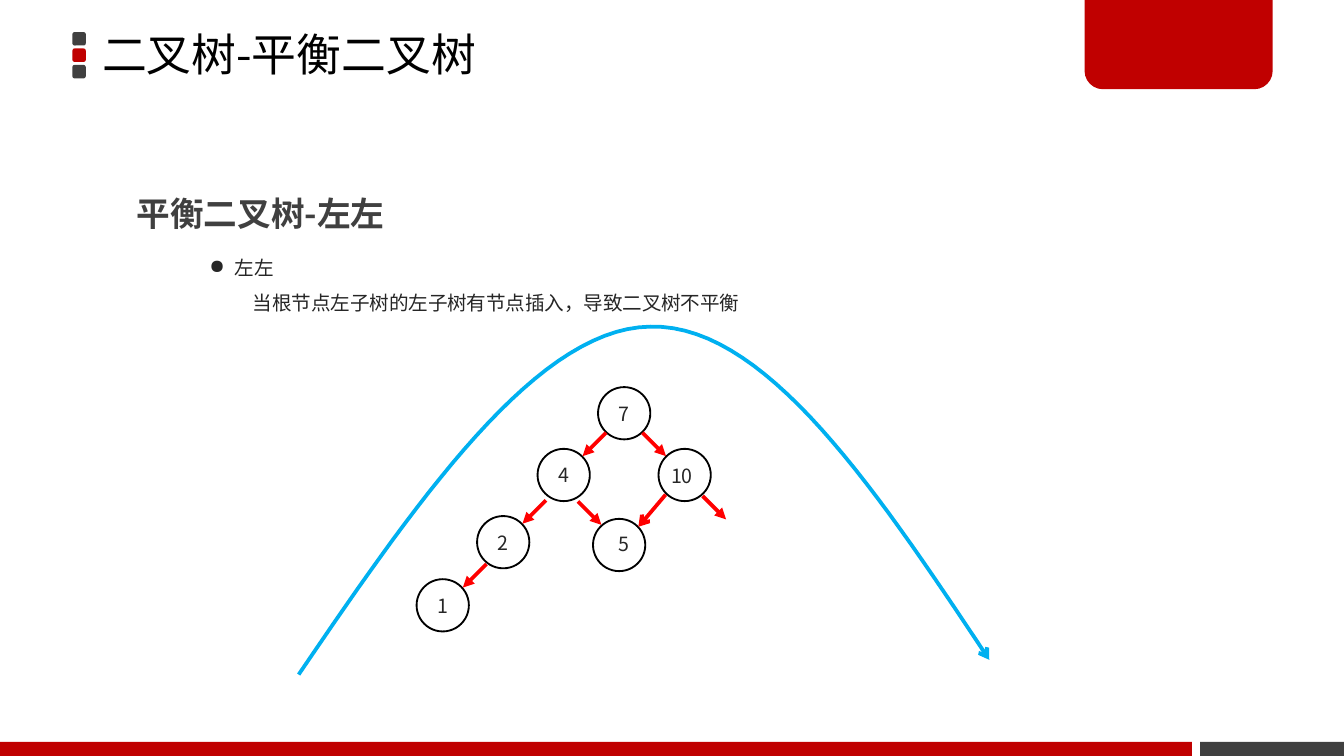
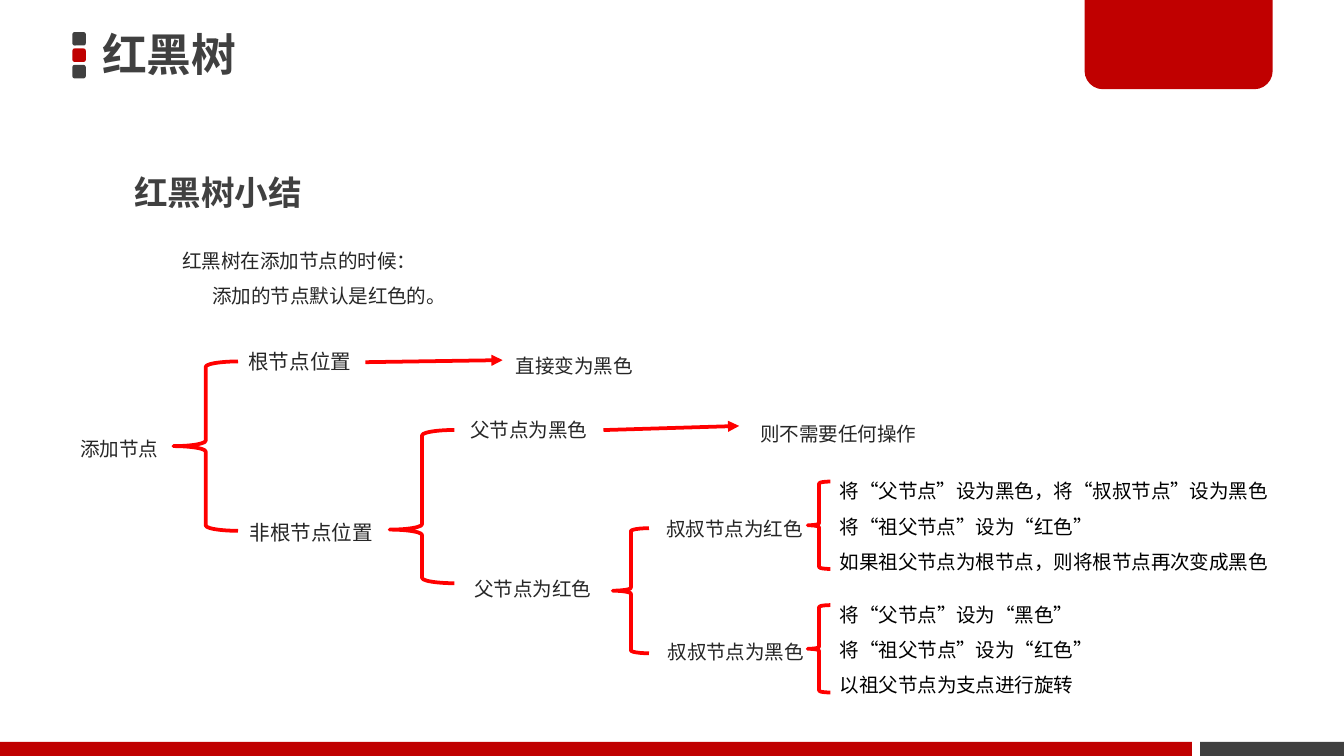
from lxml import etree
from pptx import Presentation
from pptx.dml.color import RGBColor
from pptx.enum import shapes, text
from pptx.oxml import ns
from pptx.util import Pt

RED = RGBColor(0xC0, 0x00, 0x00)
GREY = RGBColor(0x40, 0x40, 0x40)
INK = RGBColor(0x26, 0x26, 0x26)
BLACK = RGBColor(0x00, 0x00, 0x00)
WHITE = RGBColor(0xFF, 0xFF, 0xFF)
MARK = RGBColor(0xFF, 0x00, 0x00)
BLUE = RGBColor(0x00, 0xB0, 0xF0)
SANS = "Noto Sans CJK SC"
HEAD = "Noto Sans CJK JP"
KIND = shapes.MSO_SHAPE
ALIGN = text.PP_ALIGN
MIDDLE = text.MSO_ANCHOR.MIDDLE
DOT = 28
STEP = 12.6


def sub(parent, tag, **attrs):
    return etree.SubElement(parent, ns.qn(tag), attrs)


def write(frame, lines, size=10.5, color=INK, font=SANS, bold=False,
          align=ALIGN.LEFT, space=None, pads=(), bullet=None):
    """Fill a frame; pads are left indents by line, bullet marks the first."""
    for i, line in enumerate(lines):
        para = frame.paragraphs[0] if i == 0 else frame.add_paragraph()
        para.alignment = align
        if space:
            para.line_spacing = space
        props = para._p.get_or_add_pPr()
        if i < len(pads):
            props.set("marL", str(Pt(pads[i])))
        if bullet and i == 0:
            props.set("indent", str(-Pt(pads[0])))
            sub(props, "a:buChar", char=bullet)
        run = para.add_run()
        run.text = line
        run.font.size = Pt(size)
        run.font.bold = bold
        run.font.color.rgb = color
        run.font.name = font
        sub(run._r.get_or_add_rPr(), "a:ea", typeface=font)


def label(slide, box, lines, wrap=False, grow=True, anchor=None, inset=None,
          **style):
    item = slide.shapes.add_textbox(*map(Pt, box))
    frame = item.text_frame
    frame.word_wrap = wrap
    if grow:
        frame.auto_size = text.MSO_AUTO_SIZE.SHAPE_TO_FIT_TEXT
    if anchor is not None:
        frame.vertical_anchor = anchor
    if inset:
        frame.margin_left = frame.margin_right = Pt(inset[0])
        frame.margin_top = frame.margin_bottom = Pt(inset[1])
    write(frame, lines, **style)
    return item


def paint(item, fill=None, line=None, width=2):
    item.shadow.inherit = False
    if fill is None:
        item.fill.background()
    else:
        item.fill.solid()
        item.fill.fore_color.rgb = fill
    if line is None:
        item.line.fill.background()
    else:
        item.line.color.rgb = line
        item.line.width = Pt(width)


def shape(slide, kind, box, **look):
    item = slide.shapes.add_shape(kind, *map(Pt, box))
    paint(item, **look)
    return item


def tip(item, kind):
    sub(item.line._get_or_add_ln(), "a:tailEnd", type=kind)


def arrow(slide, start, end, kind="triangle", tail=None, head=None):
    """Red arrow; joins the right side of tail and the left side of head."""
    item = slide.shapes.add_connector(
        shapes.MSO_CONNECTOR.STRAIGHT, *map(Pt, start + end))
    if tail is not None:
        item.begin_connect(tail, 3)
    if head is not None:
        item.end_connect(head, 1)
    item.line.color.rgb = MARK
    item.line.width = Pt(2)
    tip(item, kind)
    sub(item._element.spPr, "a:effectLst")


def node(slide, x, y, value=None):
    item = shape(slide, KIND.OVAL, (x, y, DOT, DOT), line=BLACK, width=1)
    if value:
        item.text_frame.vertical_anchor = MIDDLE
        write(item.text_frame, [value], align=ALIGN.CENTER)


def brace(slide, box, mid=0.5):
    item = shape(slide, KIND.LEFT_BRACE, box, line=MARK)
    item.adjustments[1] = mid


def curve(slide, start, bends):
    """Open blue curve with an arrowhead, through cubic bends."""
    points, last = [], start
    for one, two, end in bends:
        for i in range(1, 31):
            t = i / 30
            s = 1 - t
            points.append(tuple(
                Pt(s**3 * a + 3 * s * s * t * b + 3 * s * t * t * c + t**3 * d)
                for a, b, c, d in zip(last, one, two, end)))
        last = end
    form = slide.shapes.build_freeform(*map(Pt, start))
    form.add_line_segments(points, close=False)
    item = form.convert_to_shape()
    paint(item, line=BLUE)
    tip(item, "arrow")


def page(deck):
    """Add a slide with the shared marks, tab and footer bands."""
    slide = deck.slides.add_slide(deck.slide_layouts[6])
    slide.background.fill.solid()
    slide.background.fill.fore_color.rgb = WHITE
    for i, color in enumerate((GREY, RED, GREY)):
        shape(slide, KIND.ROUNDED_RECTANGLE,
              (38.8, 17.2 + 8.8 * i, 7.2, 7.2), fill=color)
    shape(slide, KIND.RECTANGLE, (643, 397.5, 77, 7.5), fill=GREY)
    tab = shape(slide, KIND.ROUND_2_SAME_RECTANGLE, (581, -1.4, 100.8, 49.2),
                fill=RED)
    tab.adjustments[0] = 0.2
    tab.rotation = 180
    shape(slide, KIND.RECTANGLE, (0, 397.5, 638.6, 7.5), fill=RED)
    return slide


def title(slide, box, words, **style):
    label(slide, box, [words], wrap=True, grow=False, anchor=MIDDLE,
          inset=(5, 3), size=24, font=HEAD, **style)


def topic(slide, box, words):
    label(slide, box, [words], wrap=True, size=18, color=GREY, bold=True,
          space=1.5)


def rotate(deck):
    slide = page(deck)
    title(slide, (49.7, -1.4, 424, 64), "二叉树-平衡二叉树", color=BLACK,
          space=0.9)
    topic(slide, (66.2, 89.3, 246, 36), "平衡二叉树-左左")
    label(slide, (105.1, 127.4, 580, 45.4),
          ["左左", "当根节点左子树的左子树有节点插入，导致二叉树不平衡"],
          wrap=True, space=1.5, pads=(13.5, 23.3), bullet="●")
    curve(slide, (160, 361.4), [
        ((223.2, 268.6), (287.3, 175.7), (348.5, 175)),
        ((410.4, 173.5), (470.2, 263.5), (530, 353.5))])
    for x, y, value in ((320.4, 207.4, "7"), (288, 240.5, "4"),
                        (352.8, 240.5, None), (255.6, 276.5, "2"),
                        (223.2, 310.3, "1"), (317.7, 278, None)):
        node(slide, x, y, value)
    for x, y, side in ((324.7, 231.8, -1), (344.2, 231.8, 1),
                       (292.5, 268, -1), (309.6, 268.6, 1),
                       (260.6, 302.2, -1), (376.4, 265.7, 1)):
        arrow(slide, (x, y), (x + side * STEP, y + STEP))
    arrow(slide, (356.6, 265), (342, 282.2), kind="arrow")
    label(slide, (352.1, 244.8, 26.6, 20.2), ["10"], align=ALIGN.CENTER)
    label(slide, (324, 281.5, 20.9, 20.2), ["5"], align=ALIGN.CENTER)


def summary(deck):
    slide = page(deck)
    title(slide, (49.7, 13.7, 518, 30.2), "红黑树", color=GREY, bold=True)
    topic(slide, (64.8, 77.8, 135.4, 40.3), "红黑树小结")
    label(slide, (90.7, 123.1, 502, 45.4),
          ["红黑树在添加节点的时候：", "添加的节点默认是红色的。"],
          wrap=True, anchor=MIDDLE, space=1.5, pads=(0, 16))

    label(slide, (36, 230.4, 56.9, 20.2), ["添加节点"])
    root = label(slide, (126, 183.6, 69.8, 20.9), ["根节点位置"], size=11)
    label(slide, (126.7, 275, 81.4, 20.9), ["非根节点位置"], size=11)
    dark = label(slide, (244.8, 220.3, 78.5, 20.2), ["父节点为黑色"])
    label(slide, (247, 305.3, 78.5, 20.2), ["父节点为红色"])
    label(slide, (349.9, 273.6, 88.6, 20.2), ["叔叔节点为红色"])
    label(slide, (350.6, 339.1, 88.6, 20.2), ["叔叔节点为黑色"])

    turn = label(slide, (269.3, 180, 78.5, 25.9), ["直接变为黑色"], space=1.5)
    label(slide, (400.3, 216, 99.4, 24.5), ["则不需要任何操作"], space=1.5)
    arrow(slide, (195.8, 194), (269.3, 193), tail=root, head=turn)
    arrow(slide, (323.3, 229), (396, 228.2), tail=dark)

    brace(slide, (92.9, 193.7, 34.6, 90.7))
    brace(slide, (208.8, 230.4, 34.6, 82.1), 0.65)
    brace(slide, (328.3, 283, 19.4, 67))
    cases = (
        (247, 247.7, ["将“父节点”设为黑色，将“叔叔节点”设为黑色",
                      "将“祖父节点”设为“红色”",
                      "如果祖父节点为根节点，则将根节点再次变成黑色"]),
        (313.2, 152.6, ["将“父节点”设为“黑色”",
                        "将“祖父节点”设为“红色”",
                        "以祖父节点为支点进行旋转"]))
    for top, width, lines in cases:
        label(slide, (442.8, top, width, 64.8), lines, color=BLACK, space=1.5)
        brace(slide, (432.7, top + 11, 12.2, 46.8))


def main():
    deck = Presentation()
    deck.slide_width, deck.slide_height = Pt(720), Pt(405)
    rotate(deck)
    summary(deck)
    deck.save("out.pptx")


if __name__ == "__main__":
    main()
